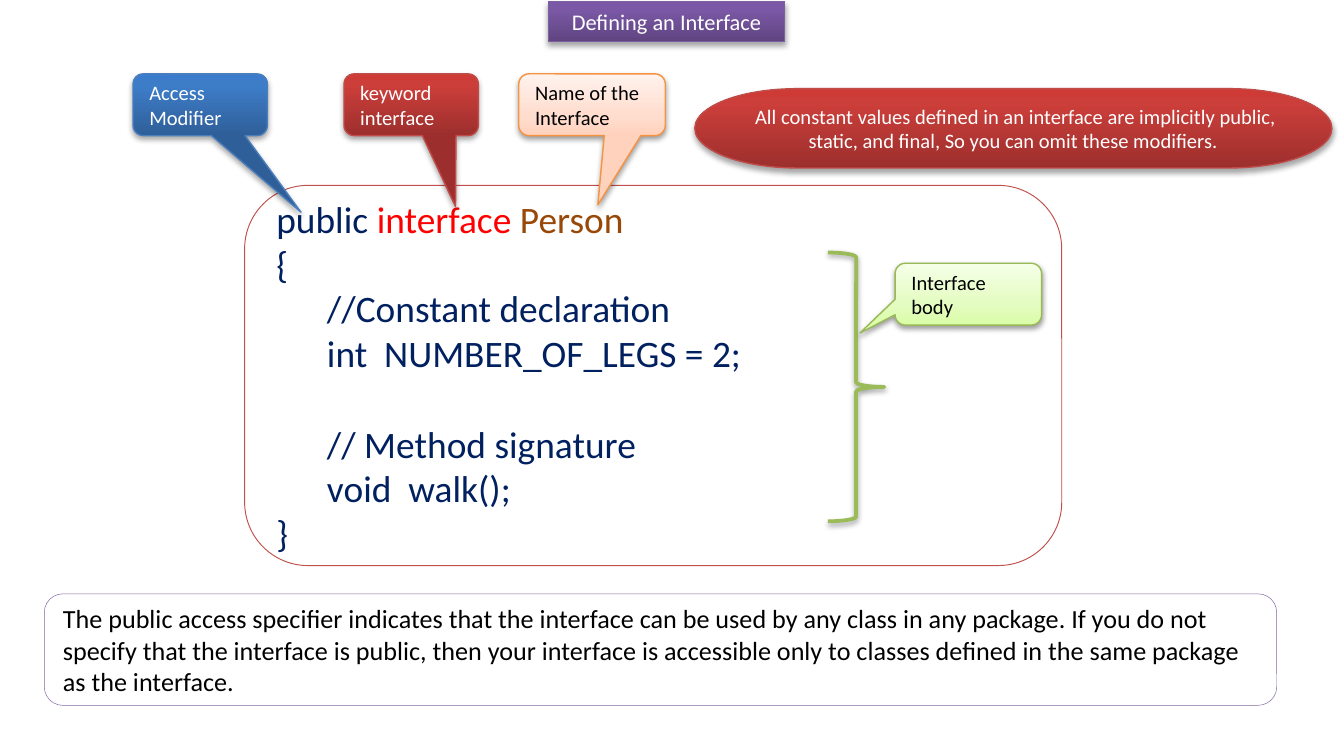
from lxml import etree
from pptx import Presentation
from pptx.dml.color import RGBColor
from pptx.enum.shapes import MSO_SHAPE
from pptx.enum.text import MSO_ANCHOR, MSO_AUTO_SIZE, PP_ALIGN
from pptx.oxml.ns import qn
from pptx.util import Inches, Pt

ROUND = MSO_SHAPE.ROUNDED_RECTANGLE
CALL = MSO_SHAPE.ROUNDED_RECTANGULAR_CALLOUT
BRACE = MSO_SHAPE.RIGHT_BRACE
PILL = MSO_SHAPE.FLOWCHART_TERMINATOR
MIDDLE = MSO_ANCHOR.MIDDLE
FIXED = MSO_AUTO_SIZE.NONE
LEFT, CENTER = PP_ALIGN.LEFT, PP_ALIGN.CENTER

FONT = "Calibri"
WHITE = RGBColor(255, 255, 255)
BLACK = RGBColor(0, 0, 0)
NAVY = RGBColor(0x00, 0x20, 0x60)
RED = RGBColor(255, 0, 0)
BROWN = RGBColor(0x98, 0x48, 0x07)
BRICK = RGBColor(0xC0, 0x50, 0x4D)
PLUM = RGBColor(0x80, 0x64, 0xA2)
GREEN = RGBColor(0x9B, 0xBB, 0x59)

DEEP, PALE = (0, 80, 100), (0, 35, 100)
DARK, SOFT = (35, 1.8), (38, 1.6)
THEMES = {
    "purple": (DEEP, ("5F4480", "7B58A6", "7C57A8"), "7D60A0", WHITE, DARK),
    "blue": (DEEP, ("2F5F99", "3D7CC7", "3A7CCB"), "4B7EBC", WHITE, DARK),
    "red": (DEEP, ("9C2F2D", "CB3E3A", "CE3B37"), "BF4C48", WHITE, DARK),
    "orange": (PALE, ("FFD2BD", "FFDED0", "FFF2ED"), "F69240", BLACK, SOFT),
    "green": (PALE, ("DAFDA7", "E4FCC2", "F5FFE7"), "98B955", BLACK, SOFT),
}

TITLE = "Defining an Interface"
CODE = [
    [("public ", NAVY), ("interface ", RED), ("Person", BROWN)],
    [("{", NAVY)],
    [("      //Constant declaration", NAVY)],
    [("      int  NUMBER_OF_LEGS = 2;", NAVY)],
    [("      // Method signature", NAVY)],
    [("      void  walk();", NAVY)],
    [("}", NAVY)],
]
GAP_ROW = 4
CALLS = [
    ((0.99, 0.55, 1, 0.46), (0.75, 1.74), "blue", ["Access Modifier"]),
    ((2.56, 0.55, 1, 0.46), (0.33, 1.65), "red", ["keyword ", "interface"]),
    ((3.86, 0.55, 1.09, 0.46), (0.04, 1.62), "orange", ["Name of the Interface"]),
    ((6.66, 1.96, 1.09, 0.46), (-0.74, 0.63), "green", ["Interface body"]),
]
NOTE = (
    "The public access specifier indicates that the interface can be used by "
    "any class in any package. If you do not specify that the interface is "
    "public, then your interface is accessible only to classes defined in the "
    "same package as the interface."
)
RULE = (
    " All constant values defined in an interface are implicitly public, "
    "static, and final, So you can omit these modifiers."
)


def place(shape, box):
    shape.left, shape.top, shape.width, shape.height = map(Inches, box)


def add(slide, kind, box):
    shape = slide.shapes.add_shape(kind, *map(Inches, box))
    shape.shadow.inherit = False
    return shape


def outline(shape, color, width):
    shape.line.color.rgb = color
    shape.line.width = Pt(width)


def shade(shape, alpha, dist):
    shape.shadow.inherit = False
    fx = shape.element.spPr.find(qn("a:effectLst"))
    cast = etree.SubElement(
        fx, qn("a:outerShdw"), blurRad=str(Pt(3.1)), dist=str(Pt(dist)),
        dir="5400000", rotWithShape="0")
    tint = etree.SubElement(cast, qn("a:srgbClr"), val="000000")
    etree.SubElement(tint, qn("a:alpha"), val=str(alpha * 1000))


def paint(shape, name):
    spots, tones, edge, ink, cast = THEMES[name]
    shape.fill.gradient()
    shape.fill.gradient_angle = 90
    stops = shape.element.spPr.find(qn("a:gradFill")).find(qn("a:gsLst"))
    stops.clear()
    for spot, tone in zip(spots, tones):
        stop = etree.SubElement(stops, qn("a:gs"), pos=str(spot * 1000))
        etree.SubElement(stop, qn("a:srgbClr"), val=tone)
    outline(shape, RGBColor.from_string(edge), 0.75)
    shade(shape, *cast)
    return ink


def write(shape, rows, size, align=LEFT):
    frame = shape.text_frame
    frame.word_wrap = True
    frame.auto_size = FIXED
    frame.vertical_anchor = MIDDLE
    for i, row in enumerate(rows):
        para = frame.add_paragraph() if i else frame.paragraphs[0]
        para.alignment = align
        for text, color in row:
            run = para.add_run()
            run.text = text
            run.font.name = FONT
            run.font.size = Pt(size)
            run.font.color.rgb = color


def panel(slide, box, edge, width, rows, size):
    shape = add(slide, ROUND, box)
    shape.fill.solid()
    shape.fill.fore_color.rgb = WHITE
    outline(shape, edge, width)
    write(shape, rows, size)
    return shape


def main():
    deck = Presentation()
    deck.slide_width, deck.slide_height = Inches(10), Inches(5.5)
    slide = deck.slides.add_slide(deck.slide_layouts[5])

    title = slide.shapes.title
    place(title, (4.08, 0.01, 1.76, 0.3))
    ink = paint(title, "purple")
    write(title, [[(TITLE, ink)]], 12, CENTER)

    code = panel(slide, (1.82, 1.38, 6.08, 2.83), BRICK, 0.5, CODE, 20)
    code.text_frame.paragraphs[GAP_ROW].space_before = Pt(24.4)

    brace = add(slide, BRACE, (6.16, 1.88, 0.42, 2))
    brace.fill.background()
    outline(brace, GREEN, 2)
    shade(brace, *SOFT)

    for box, tip, name, lines in CALLS:
        call = add(slide, CALL, box)
        call.adjustments[0], call.adjustments[1] = tip
        ink = paint(call, name)
        write(call, [[(line, ink)] for line in lines], 11)

    panel(slide, (0.33, 4.42, 9.17, 0.83), PLUM, 0.25, [[(NOTE, BLACK)]], 14)

    pill = add(slide, PILL, (5.17, 0.66, 4.74, 0.59))
    ink = paint(pill, "red")
    write(pill, [[(RULE, ink)]], 11, CENTER)

    deck.save("out.pptx")


if __name__ == "__main__":
    main()
